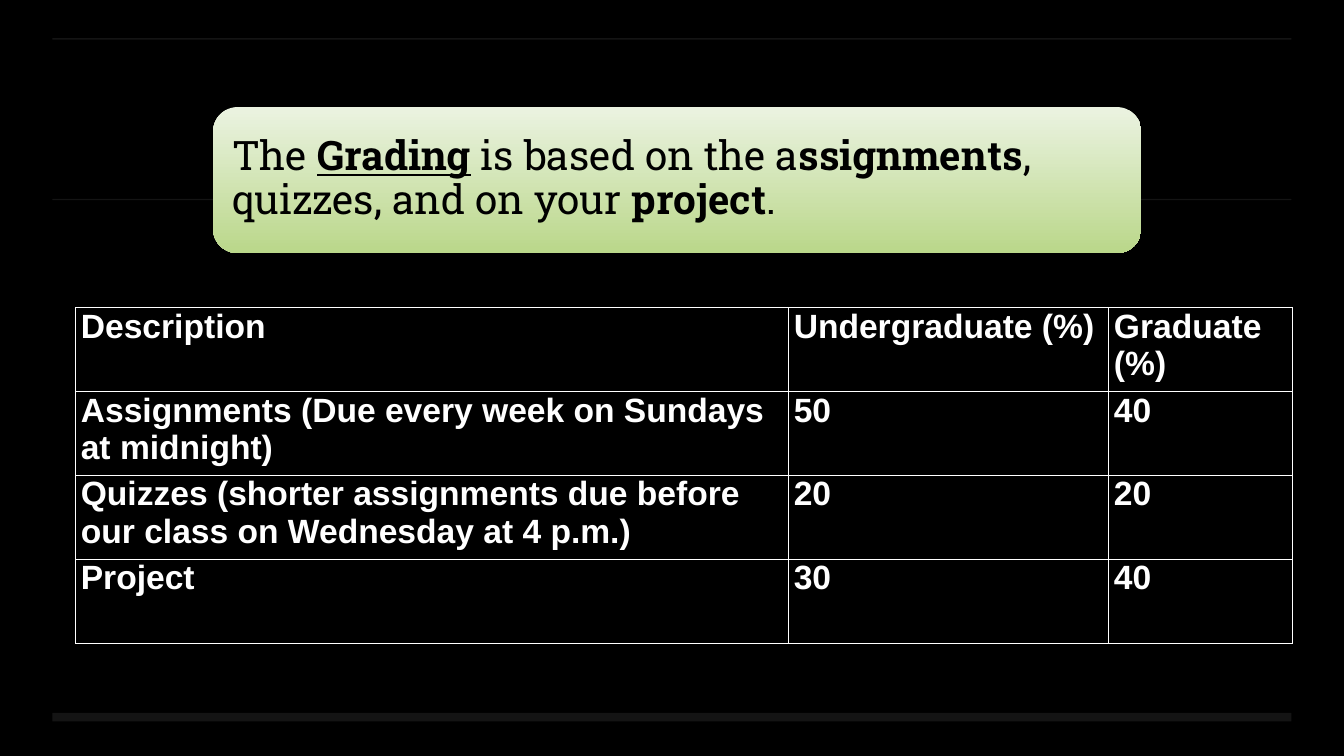
from lxml import etree
from pptx import Presentation
from pptx import util as u
from pptx.dml.color import RGBColor
from pptx.enum import shapes, text
from pptx.oxml import parse_xml
from pptx.oxml.ns import nsdecls, qn

PX = 9525  # EMU per px, 96 px to the inch

COLUMN_WIDTHS = [679, 305, 175]
ROW_HEIGHT = 80
GRADING = [
    ["Description", "Undergraduate (%)", "Graduate (%)"],
    ["Assignments (Due every week on Sundays at midnight)", "50", "40"],
    ["Quizzes (shorter assignments due before our class on Wednesday at 4 p.m.)",
     "20", "20"],
    ["Project", "30", "40"],
]
# Title runs: wording, bold, underlined
TITLE_RUNS = [
    ("The ", False, False),
    ("Grading", True, True),
    (" is based on the a", False, False),
    ("ssignments", True, False),
    (", quizzes, and on your ", False, False),
    ("project", True, False),
    (".", False, False),
]


def px(*lengths):
    return [u.Emu(length * PX) for length in lengths]


def color(value):
    return RGBColor.from_string(value)


def add_span(para, wording, font, size, ink, bold=False, underline=False):
    span = para.add_run()
    span.text = wording
    span.font.name = font
    span.font.size = u.Pt(size)
    span.font.color.rgb = color(ink)
    span.font.bold = bold
    span.font.underline = underline


def add_rule(page, top, weight):
    """Faint horizontal line across the page."""
    rule = page.shapes.add_connector(
        shapes.MSO_CONNECTOR.STRAIGHT, *px(50, top, 1230, top))
    rule.line.width = u.Pt(weight)
    rule.line.color.rgb = color("444444")
    properties = rule._element.spPr
    alpha = etree.SubElement(
        properties.find(".//" + qn("a:srgbClr")), qn("a:alpha"))
    alpha.set("val", "30000")
    etree.SubElement(properties, qn("a:effectLst"))


def add_borders(cell):
    properties = cell._tc.get_or_add_tcPr()
    for position, side in enumerate(["lnL", "lnR", "lnT", "lnB"]):
        properties.insert(position, parse_xml(
            f'<a:{side} {nsdecls("a")} w="12700"><a:solidFill>'
            f'<a:srgbClr val="FFFFFF"/></a:solidFill></a:{side}>'))


def add_grading_table(page):
    frame = page.shapes.add_table(
        len(GRADING), len(COLUMN_WIDTHS),
        *px(72, 293, sum(COLUMN_WIDTHS), ROW_HEIGHT * len(GRADING)))
    table = frame.table
    table.first_row = table.horz_banding = False
    for column, width in zip(table.columns, COLUMN_WIDTHS):
        column.width = px(width)[0]
    for row, entries in zip(table.rows, GRADING):
        row.height = px(ROW_HEIGHT)[0]
        for cell, entry in zip(row.cells, entries):
            cell.fill.background()
            cell.margin_left, cell.margin_right = px(5, 5)
            cell.margin_top = cell.margin_bottom = 0
            add_span(cell.text_frame.paragraphs[0], entry,
                     "Arial", 24, "FFFFFF", bold=True)
            add_borders(cell)


def add_title_panel(page):
    panel = page.shapes.add_shape(
        shapes.MSO_SHAPE.ROUNDED_RECTANGLE, *px(203, 102, 884, 139))
    panel.shadow.inherit = False
    panel.line.fill.background()
    panel.fill.gradient()
    panel.fill.gradient_angle = 270
    for stop, shade in zip(panel.fill.gradient_stops, ["EBF3E1", "BAD78A"]):
        stop.color.rgb = color(shade)


def fill_title(page):
    title = page.shapes.title
    title.left, title.top, title.width, title.height = px(209, 108, 871, 126)
    # Bring the title in front of its panel
    page.shapes._spTree.append(title._element)
    box = title.text_frame
    box.word_wrap = True
    box.auto_size = text.MSO_AUTO_SIZE.NONE
    box.vertical_anchor = text.MSO_ANCHOR.MIDDLE
    box.margin_left, box.margin_top, box.margin_right, box.margin_bottom = px(
        12, 12, 12, 12)
    para = box.paragraphs[0]
    para.alignment = text.PP_ALIGN.LEFT
    para.line_spacing = 0.9
    for wording, bold, underline in TITLE_RUNS:
        add_span(para, wording, "Roboto Slab", 29, "000000", bold, underline)


def main():
    deck = Presentation()
    deck.slide_width, deck.slide_height = px(1280, 720)
    page = deck.slides.add_slide(deck.slide_layouts[5])
    page.background.fill.solid()
    page.background.fill.fore_color.rgb = color("000000")

    # Background rules
    for top, weight in [(190, 1), (683, 6), (37, 1)]:
        add_rule(page, top, weight)

    # Content
    add_grading_table(page)
    add_title_panel(page)
    fill_title(page)
    deck.save("out.pptx")


if __name__ == "__main__":
    main()
